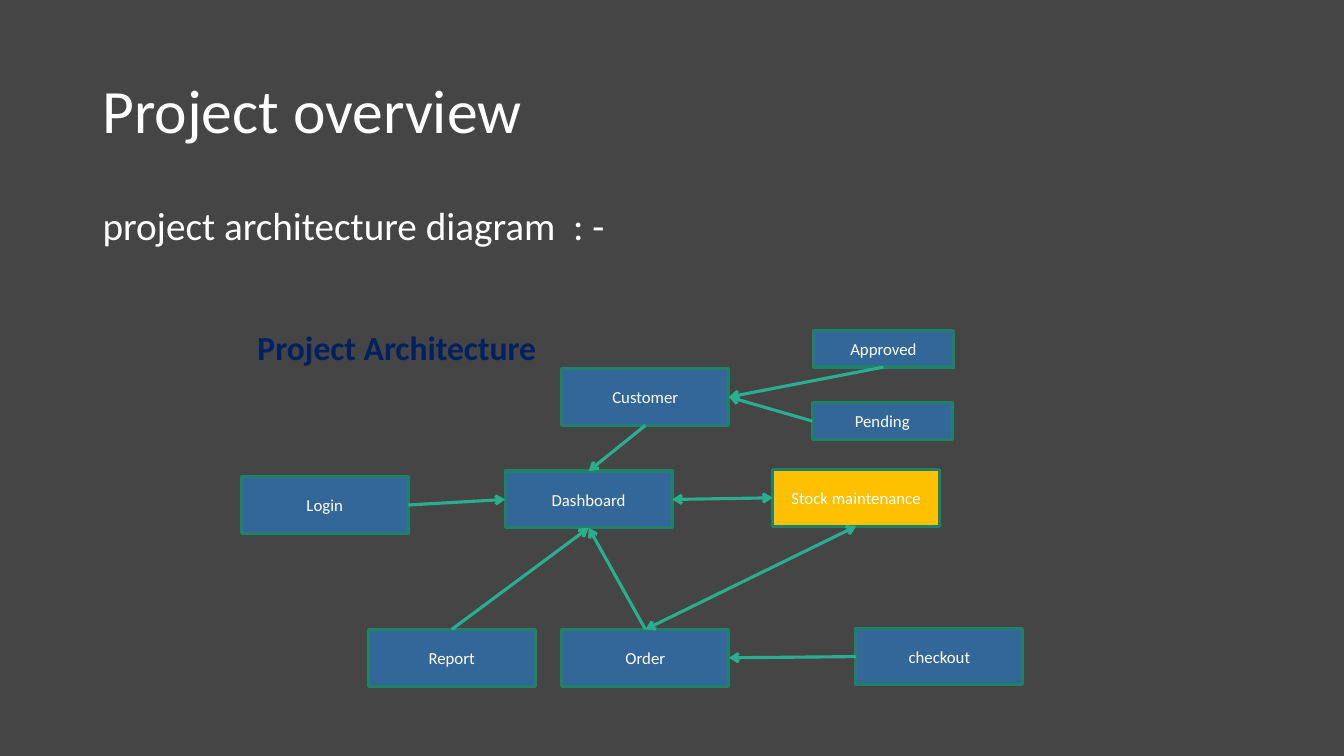
import dataclasses

import pptx
import pptx.dml.color
import pptx.enum.shapes
import pptx.enum.text
import pptx.oxml.ns
import pptx.util
from lxml import etree

Cm = pptx.util.Cm
Pt = pptx.util.Pt
ANCHOR = pptx.enum.text.MSO_ANCHOR
ALIGN = pptx.enum.text.PP_ALIGN
TOP, LEFT, BOTTOM, RIGHT = range(4)


@dataclasses.dataclass(frozen=True)
class Theme:
    font: str = "Calibri"
    background: str = "454545"
    text: str = "FFFFFF"
    heading: str = "002060"
    box: str = "336699"
    highlight: str = "FFC000"
    border: str = "1E8168"
    arrow: str = "29AF8C"
    title_size: int = 44
    body_size: int = 28
    heading_size: int = 24
    box_size: int = 12
    line_width: float = 2.25


THEME = Theme()
LARGE = (4.21, 1.43)
SMALL = (3.53, 0.92)

# name: (left, top, (width, height), fill), lengths in centimetres
BOXES = {
    "Login": (6.08, 12.01, LARGE, THEME.box),
    "Dashboard": (12.73, 11.87, LARGE, THEME.box),
    "Stock maintenance": (19.47, 11.83, LARGE, THEME.highlight),
    "Order": (14.16, 15.86, LARGE, THEME.box),
    "checkout": (21.57, 15.83, LARGE, THEME.box),
    "Report": (9.28, 15.86, LARGE, THEME.box),
    "Customer": (14.16, 9.29, LARGE, THEME.box),
    "Approved": (20.5, 8.33, SMALL, THEME.box),
    "Pending": (20.47, 10.15, SMALL, THEME.box),
}

# start box, side, end box, side, arrowheads at both ends
ARROWS = [
    ("Login", RIGHT, "Dashboard", LEFT, False),
    ("Order", TOP, "Dashboard", BOTTOM, False),
    ("checkout", LEFT, "Order", RIGHT, False),
    ("Order", TOP, "Stock maintenance", BOTTOM, True),
    ("Report", TOP, "Dashboard", BOTTOM, False),
    ("Customer", BOTTOM, "Dashboard", TOP, False),
    ("Approved", BOTTOM, "Customer", RIGHT, False),
    ("Pending", LEFT, "Customer", RIGHT, False),
    ("Dashboard", RIGHT, "Stock maintenance", LEFT, True),
]


def rgb(colour):
    return pptx.dml.color.RGBColor.from_string(colour)


def write(shape, text, size, colour=THEME.text, bold=False, align=ALIGN.LEFT,
          anchor=ANCHOR.MIDDLE, spacing=None):
    """Put one formatted run in the shape and return its paragraph."""
    frame = shape.text_frame
    frame.word_wrap = True
    frame.auto_size = pptx.enum.text.MSO_AUTO_SIZE.NONE
    frame.vertical_anchor = anchor
    para = frame.paragraphs[0]
    para.alignment = align
    para.line_spacing = spacing
    span = para.add_run()
    span.text = text
    span.font.name = THEME.font
    span.font.size = Pt(size)
    span.font.bold = bold
    span.font.color.rgb = rgb(colour)
    return para


def place(shape, left, top, width, height):
    shape.left, shape.top = Cm(left), Cm(top)
    shape.width, shape.height = Cm(width), Cm(height)


def remove_bullet(para):
    properties = para._p.get_or_add_pPr()
    properties.set("marL", "0")
    properties.set("indent", "0")
    etree.SubElement(properties, pptx.oxml.ns.qn("a:buNone"))


def add_box(page, name, left, top, size, fill):
    box = page.shapes.add_shape(
        pptx.enum.shapes.MSO_SHAPE.RECTANGLE, Cm(left), Cm(top), *map(Cm, size))
    box.shadow.inherit = False
    box.fill.solid()
    box.fill.fore_color.rgb = rgb(fill)
    box.line.color.rgb = rgb(THEME.border)
    box.line.width = Pt(THEME.line_width)
    write(box, name, THEME.box_size, align=ALIGN.CENTER)
    return box


def add_arrow(page, start, start_side, end, end_side, both_ends):
    arrow = page.shapes.add_connector(
        pptx.enum.shapes.MSO_CONNECTOR.STRAIGHT,
        start.left, start.top, end.left, end.top)
    arrow.begin_connect(start, start_side)
    arrow.end_connect(end, end_side)
    arrow.line.color.rgb = rgb(THEME.arrow)
    arrow.line.width = Pt(THEME.line_width)
    line = arrow.line._get_or_add_ln()
    for tag in ("a:headEnd", "a:tailEnd") if both_ends else ("a:tailEnd",):
        etree.SubElement(line, pptx.oxml.ns.qn(tag)).set("type", "arrow")
    etree.SubElement(arrow._element.spPr, pptx.oxml.ns.qn("a:effectLst"))


def add_headings(page):
    title, body = page.shapes.title, page.placeholders[1]
    place(title, 2.33, 1.01, 29.21, 3.68)
    write(title, "Project overview", THEME.title_size, spacing=0.9)

    place(body, 2.33, 5.07, 29.21, 12.09)
    para = write(body, "project architecture diagram  : -", THEME.body_size,
                 anchor=ANCHOR.TOP, spacing=0.9)
    para.space_before = Pt(10)
    remove_bullet(para)

    heading = page.shapes.add_textbox(Cm(6.24), Cm(7.67), Cm(20.24), Cm(2.26))
    write(heading, "Project Architecture", THEME.heading_size, THEME.heading,
          bold=True, spacing=0.9)


def main():
    deck = pptx.Presentation()
    deck.slide_width, deck.slide_height = Cm(33.87), Cm(19.05)
    page = deck.slides.add_slide(deck.slide_layouts[1])
    page.background.fill.solid()
    page.background.fill.fore_color.rgb = rgb(THEME.background)

    add_headings(page)
    boxes = {name: add_box(page, name, *layout) for name, layout in BOXES.items()}
    for start, start_side, end, end_side, both_ends in ARROWS:
        add_arrow(page, boxes[start], start_side, boxes[end], end_side, both_ends)

    deck.save("out.pptx")


if __name__ == "__main__":
    main()
